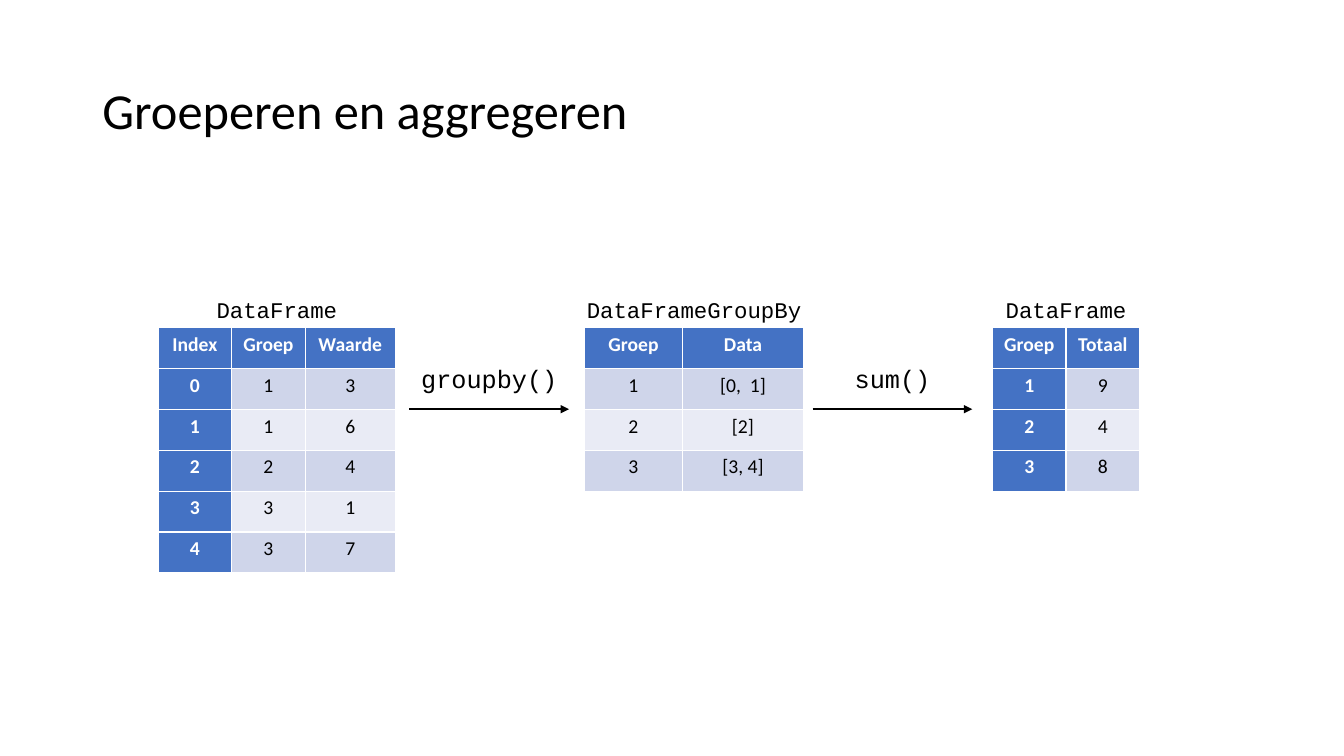
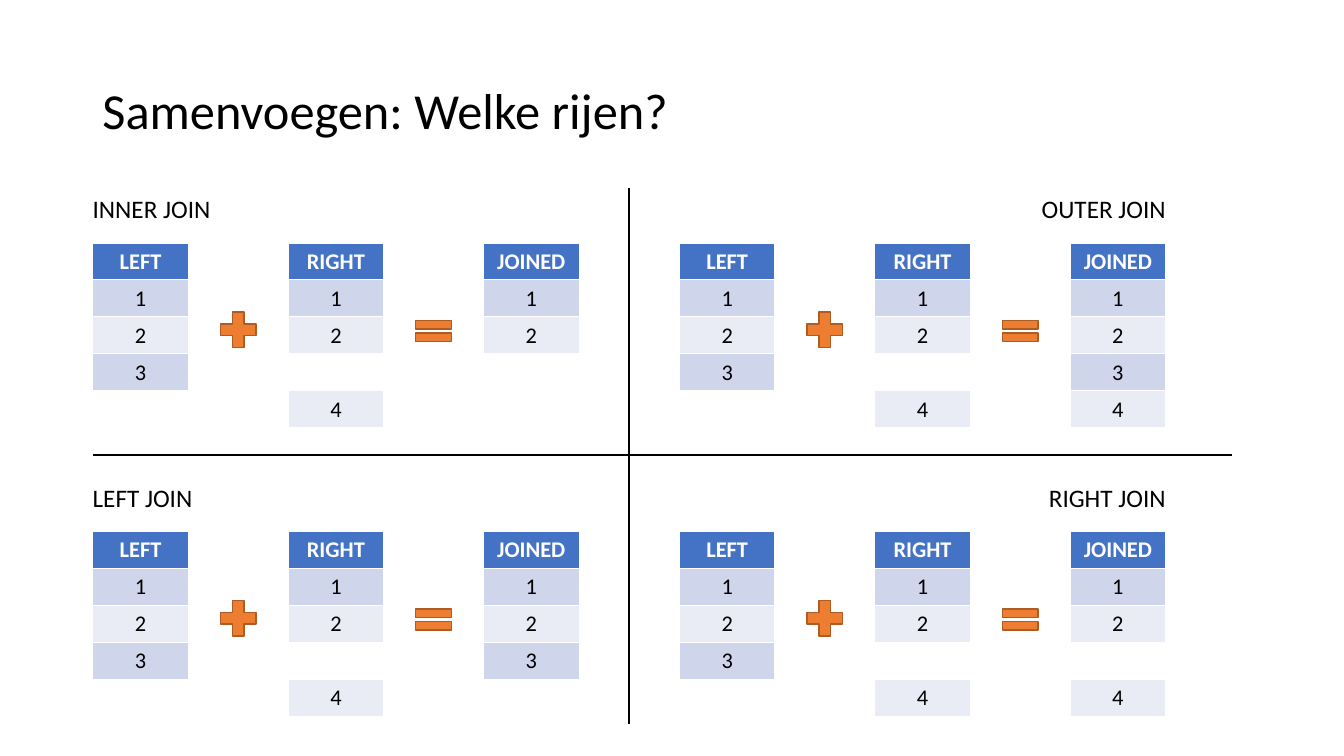
"""Build two slides on grouping and joining data frames."""
from dataclasses import dataclass

from lxml.etree import SubElement
from pptx import Presentation
from pptx.dml.color import RGBColor
from pptx.enum.shapes import MSO_CONNECTOR, MSO_SHAPE
from pptx.enum.text import MSO_ANCHOR, MSO_AUTO_SIZE, PP_ALIGN
from pptx.oxml.ns import qn
from pptx.util import Pt


@dataclass(frozen=True)
class Theme:
    ink: RGBColor = RGBColor(0, 0, 0)
    paper: RGBColor = RGBColor(255, 255, 255)
    head: RGBColor = RGBColor.from_string("4472C4")
    odd: RGBColor = RGBColor.from_string("CFD5EA")
    even: RGBColor = RGBColor.from_string("E9EBF5")
    sign: RGBColor = RGBColor.from_string("ED7D31")
    edge: RGBColor = RGBColor.from_string("AF5C24")
    body: str = "Calibri"
    code: str = "Courier New"
    title: int = 36
    large: int = 18
    mid: int = 16
    small: int = 14
    rule: float = 1.5


THEME = Theme()

GROUP = "Groeperen en aggregeren"
FRAMES = [
    {"label": "DataFrame", "left": 113, "cols": [52.5, 52.5, 64.5], "index": True,
     "rows": [["Index", "Groep", "Waarde"], ["0", "1", "3"], ["1", "1", "6"],
              ["2", "2", "4"], ["3", "3", "1"], ["4", "3", "7"]]},
    {"label": "DataFrameGroupBy", "left": 417.5, "cols": [70, 86.5], "index": False,
     "rows": [["Groep", "Data"], ["1", "[0,  1]"], ["2", "[2]"], ["3", "[3, 4]"]]},
    {"label": "DataFrame", "left": 709, "cols": [52.5, 52.5], "index": True,
     "rows": [["Groep", "Totaal"], ["1", "9"], ["2", "4"], ["3", "8"]]},
]
STEPS = [("groupby()", 292.5), ("sum()", 580.5)]
FRAME = {"top": 234, "row": 29.2, "label": 170}
STEP = {"top": 256.3, "width": 114, "line": 292.3}

JOIN = "Samenvoegen: Welke rijen?"
KEYS = ["1", "2", "3", "4"]
LEFT, RIGHT = ["1", "2", "3"], ["1", "2", "4"]
JOINS = [
    [("INNER JOIN", ["1", "2"]), ("OUTER JOIN", KEYS)],
    [("LEFT JOIN", LEFT), ("RIGHT JOIN", RIGHT)],
]
GRID = {"left": 66.2, "top": 134.6, "across": 419, "down": 206}
PANEL = {"width": 347.5, "col": 68.4, "row": 26.35, "drop": 38.9}
SIGNS = [(MSO_SHAPE.MATH_PLUS, 34.6, 100.9), (MSO_SHAPE.MATH_EQUAL, 25.2, 101.9)]
SIGN = 34.6
RULES = [(449.3, 134.6, 449.3, 517), (66.2, 324.7, 879.8, 324.7)]


def style(thing, **form):
    for name, value in form.items():
        setattr(thing, name, value)


def write(para, text, size, color=THEME.ink, bold=False, name=THEME.body,
          align=PP_ALIGN.LEFT):
    para.alignment = align
    run = para.add_run()
    run.text = text
    style(run.font, size=Pt(size), bold=bold, name=name)
    run.font.color.rgb = color


def start(deck, text):
    slide = deck.slides.add_slide(deck.slide_layouts[5])
    title = slide.shapes.title
    style(title, left=Pt(66), top=Pt(28.8), width=Pt(828), height=Pt(104.4))
    style(title.text_frame, vertical_anchor=MSO_ANCHOR.MIDDLE, word_wrap=True,
          auto_size=MSO_AUTO_SIZE.NONE)
    para = title.text_frame.paragraphs[0]
    para.line_spacing = 0.9
    write(para, text, THEME.title)
    return slide


def label(slide, text, left, top, width, height, size, inset=7.2, **form):
    box = slide.shapes.add_textbox(Pt(left), Pt(top), Pt(width), Pt(height))
    style(box.text_frame, word_wrap=True, margin_left=Pt(inset),
          margin_right=Pt(inset))
    write(box.text_frame.paragraphs[0], text, size, **form)


def line(slide, ends, arrow=False):
    link = slide.shapes.add_connector(MSO_CONNECTOR.STRAIGHT, *map(Pt, ends))
    link.line.width = Pt(THEME.rule)
    link.line.color.rgb = THEME.ink
    if arrow:
        SubElement(link.line._get_or_add_ln(), qn("a:tailEnd"), type="triangle")
    SubElement(link._element.spPr, qn("a:effectLst"))


def table(slide, rows, left, top, cols, high, size, index=False):
    frame = slide.shapes.add_table(len(rows), len(cols), Pt(left), Pt(top),
                                   Pt(sum(cols)), Pt(high * len(rows)))
    grid = frame.table
    grid.first_col = index
    for col, width in zip(grid.columns, cols):
        col.width = Pt(width)
    for r, texts in enumerate(rows):
        grid.rows[r].height = Pt(high)
        for c, text in enumerate(texts):
            cell = grid.cell(r, c)
            para = cell.text_frame.paragraphs[0]
            if not text:
                cell.fill.background()
                SubElement(para._p, qn("a:endParaRPr"), sz=str(size * 100))
                continue
            head = r == 0 or (index and c == 0)
            cell.fill.solid()
            cell.fill.fore_color.rgb = (
                THEME.head if head else THEME.odd if r % 2 else THEME.even)
            write(para, text, size, THEME.paper if head else THEME.ink, head,
                  align=PP_ALIGN.CENTER)


def group(deck):
    slide = start(deck, GROUP)
    form = {"name": THEME.code, "align": PP_ALIGN.CENTER}
    for item in FRAMES:
        left, cols = item["left"], item["cols"]
        table(slide, item["rows"], left, FRAME["top"], cols, FRAME["row"],
              THEME.small, item["index"])
        width = FRAME["label"]
        label(slide, item["label"], left + (sum(cols) - width) / 2,
              FRAME["top"] - 26, width, 26.6, THEME.mid, **form)
    for text, left in STEPS:
        line(slide, (left, STEP["line"], left + STEP["width"], STEP["line"]), True)
        label(slide, text, left, STEP["top"], STEP["width"], 29, THEME.large, **form)


def panel(slide, name, joined, left, top, align):
    label(slide, name, left, top, PANEL["width"], 29, THEME.large, 0, align=align)
    col = PANEL["col"]
    pitch = (PANEL["width"] - col) / 2
    parts = [("LEFT", LEFT), ("RIGHT", RIGHT), ("JOINED", joined)]
    for i, (head, held) in enumerate(parts):
        rows = [[head]] + [[key if key in held else ""] for key in KEYS]
        table(slide, rows, left + i * pitch, top + PANEL["drop"], [col],
              PANEL["row"], THEME.mid)
    for i, (kind, high, mid) in enumerate(SIGNS):
        x = left + i * pitch + (col + pitch - SIGN) / 2
        sign = slide.shapes.add_shape(kind, Pt(x), Pt(top + mid - high / 2),
                                      Pt(SIGN), Pt(high))
        sign.shadow.inherit = False
        sign.fill.solid()
        sign.fill.fore_color.rgb = THEME.sign
        sign.line.color.rgb = THEME.edge
        sign.line.width = Pt(1)


def join(deck):
    slide = start(deck, JOIN)
    for ends in RULES:
        line(slide, ends)
    for r, pair in enumerate(JOINS):
        for c, (name, joined) in enumerate(pair):
            panel(slide, name, joined, GRID["left"] + c * GRID["across"],
                  GRID["top"] + r * GRID["down"],
                  PP_ALIGN.RIGHT if c else PP_ALIGN.LEFT)


def main():
    deck = Presentation()
    style(deck, slide_width=Pt(960), slide_height=Pt(540))
    group(deck)
    join(deck)
    deck.save("out.pptx")


if __name__ == "__main__":
    main()
